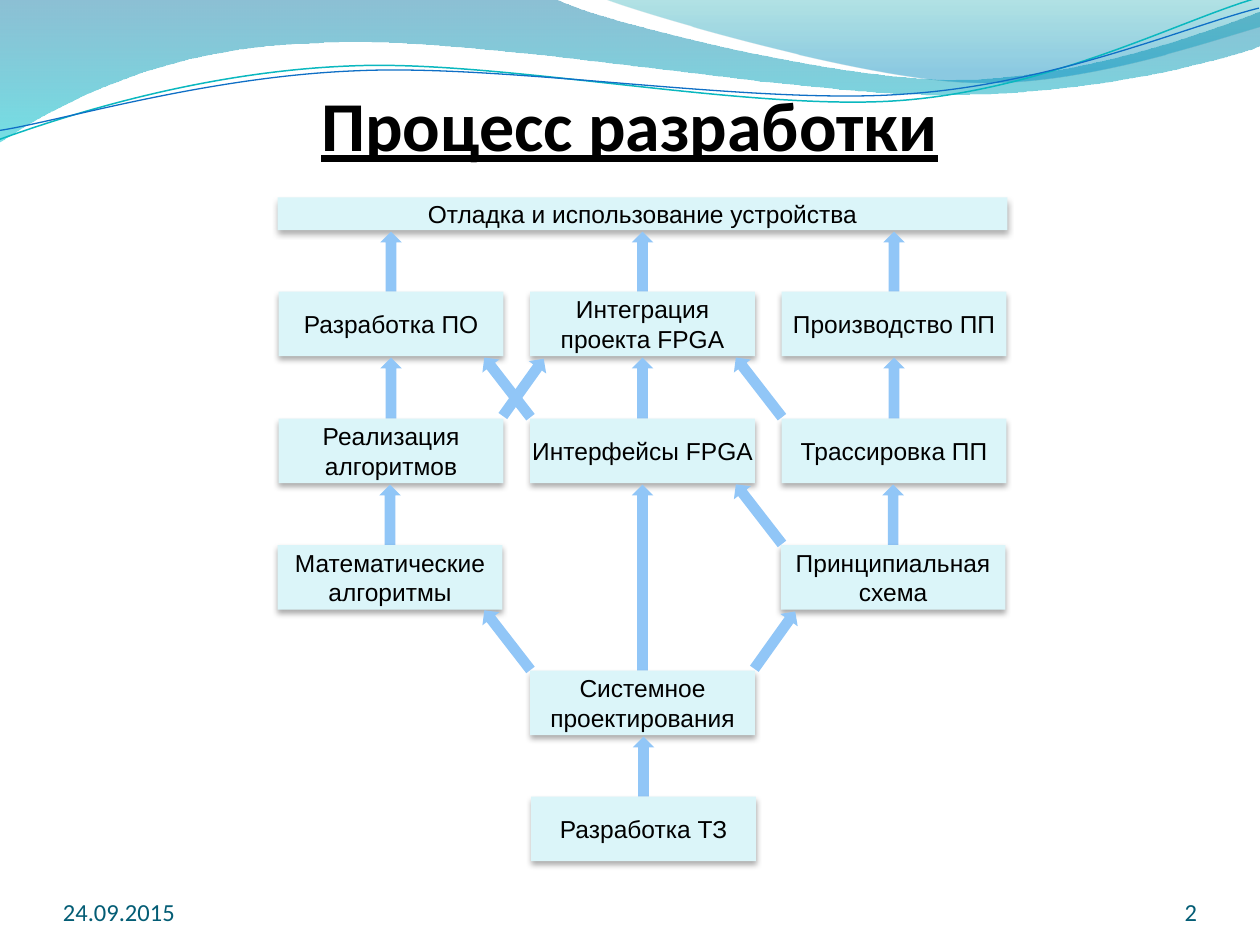
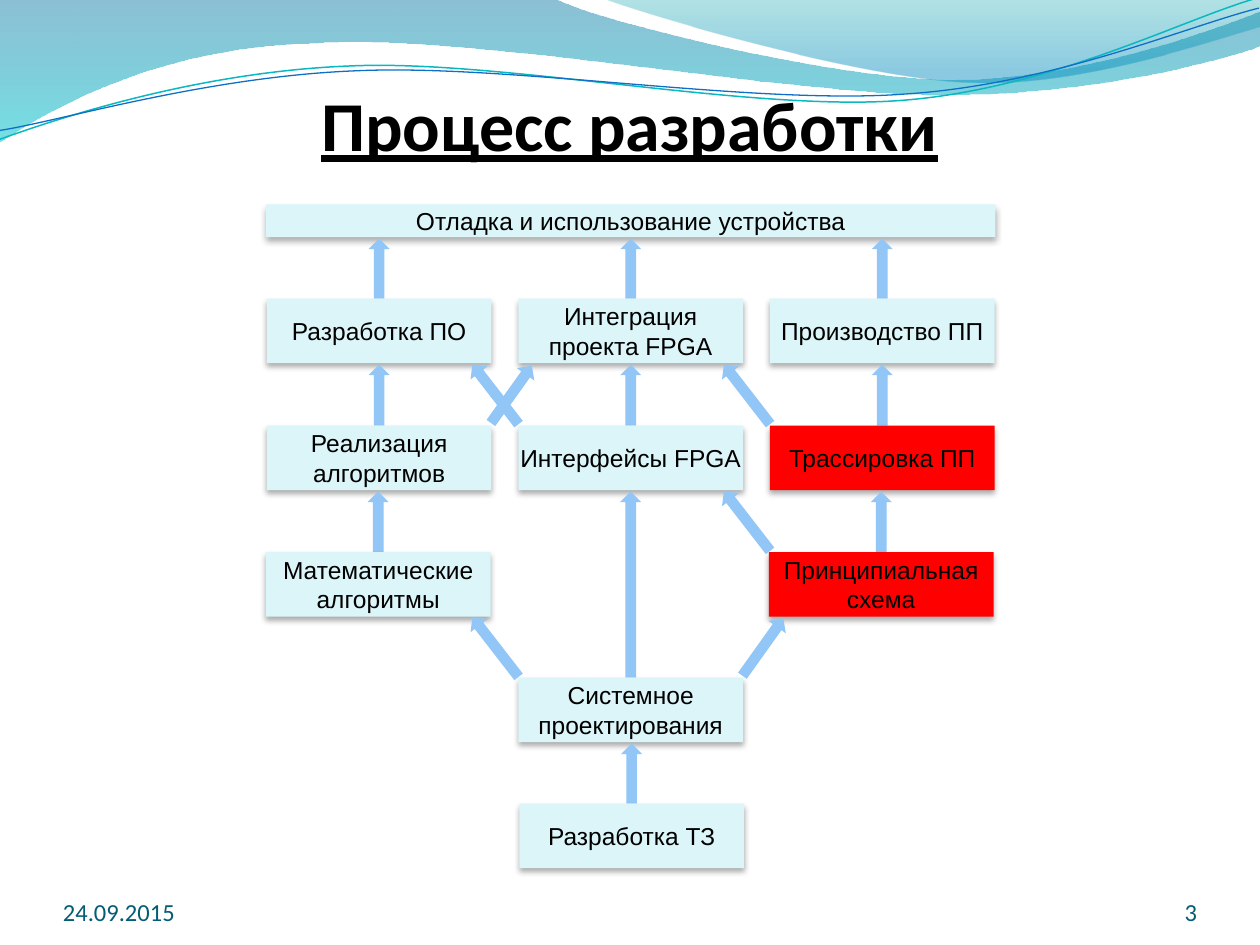
"""Two slides on the stages of device development."""
from lxml import etree
from pptx import Presentation
from pptx import util as u
from pptx.dml import color
from pptx.enum import shapes, text
from pptx.oxml import ns

WIDTH, HEIGHT = u.Cm(25.4), u.Cm(19.05)
BLACK, FOOTER_TEAL = "000000", "045D75"
BOX_FILL, ALERT_FILL, ARROW_FILL = "DBF5F9", "FF0000", "91C6F7"

# Grid of the diagram
BOX_WIDTH, BOX_HEIGHT = u.Cm(4.53), u.Cm(1.3)
COLUMN_STEP = u.Cm(5.07)
BAR_WIDTH, BAR_HEIGHT = u.Cm(14.71), u.Cm(0.66)
ARROW_WIDTH, ARROW_GAP = u.Cm(0.43), u.Cm(0.03)
ROW_TOPS = [u.Cm(top) for top in (1.9, 4.46, 7.01, 9.54, 12.08)]
ROW_SHIFTS = [u.Cm(shift) for shift in (0.02, 0.02, 0, 0.02, 0.04)]

BAR_TEXT = "Отладка и использование устройства"
# Each level: arrows (column, row they start from, row they reach),
# then stages (column, row, wording). Row -1 is the bar.
LEVELS = [
    ([(1, 0, -1), (2, 0, -1), (0, 0, -1)],
     [(0, 0, "Разработка ПО"), (1, 0, "Интеграция проекта FPGA"),
      (2, 0, "Производство ПП")]),
    ([(1, 1, 0), (2, 1, 0), (0, 1, 0)],
     [(0, 1, "Реализация алгоритмов"), (1, 1, "Интерфейсы FPGA"),
      (2, 1, "Трассировка ПП")]),
    ([(1, 3, 1), (2, 2, 1), (0, 2, 1)],
     [(0, 2, "Математические алгоритмы"),
      (1, 3, "Системное проектирования"),
      (2, 2, "Принципиальная схема")]),
    ([(1, 4, 3)], [(1, 4, "Разработка ТЗ")]),
]
BOARD_STAGES = {(2, 1), (2, 2)}
# Slanted arrows: column left of the gap, row above the gap, leans right
SLANTED_ARROWS = [(1, 2, True), (0, 2, False), (0, 0, True),
                  (0, 0, False), (1, 0, False), (1, 1, False)]

# Wave outlines in tenths of the slide width: a start, then straight points
# (one pair) and cubic curves (three pairs).
MAIN_WAVE = [
    (0, 0), [(4.4, -0.01)],
    [(4.76, 0.17), (6.64, 0.63), (7.58, 0.63)],
    [(8.53, 0.63), (9.58, 0.26), (10, 0.09)], [(10.01, 0.36)],
    [(9.83, 0.44), (8.7, 0.76), (7.46, 0.75)],
    [(6.22, 0.75), (3.82, 0.28), (2.57, 0.34)],
    [(1.29, 0.36), (0.46, 0.83), (-0.01, 1.13)], [(0, 0)],
]
RIGHT_WAVE = [
    (4.79, -0.01),
    [(5.09, 0.11), (6.82, 0.62), (7.69, 0.65)],
    [(8.56, 0.69), (9.61, 0.32), (10, 0.21)], [(10, 0)], [(4.79, -0.01)],
]
# The two thin curves are level here and turned when drawn.
CURVE_TURN = 357.3
TEAL_CURVE = [
    (-0.02, 0.87),
    [(0.47, 0.72), (1.58, 0.41), (2.78, 0.42)],
    [(3.96, 0.42), (5.91, 0.93), (7.12, 0.9)],
    [(8.32, 0.87), (9.4, 0.36), (10, 0.22)],
]
BLUE_CURVE = [
    (-0.02, 0.8),
    [(0.46, 0.75), (1.64, 0.45), (2.83, 0.46)],
    [(4.03, 0.46), (5.96, 0.88), (7.16, 0.85)],
    [(8.35, 0.83), (9.42, 0.42), (10.01, 0.3)],
]


def rgb(value):
    """Return the colour for a hex string."""
    return color.RGBColor.from_string(value)


def add_outline(parent, outline, width, closed):
    """Draw an outline of lines and cubic curves scaled to the width."""
    start, *segments = outline
    points = [(round(x * width / 10), round(y * width / 10))
              for x, y in [start] + sum(segments, [])]
    builder = parent.shapes.build_freeform(*points[0])
    builder.add_line_segments(points[1:], close=closed)
    shape = builder.convert_to_shape()
    shape.shadow.inherit = False
    lines = iter(list(shape._element.iter(ns.qn("a:lnTo"))))
    for segment in segments:
        pieces = [next(lines) for _ in segment]
        if len(pieces) == 3:
            curve = etree.Element(ns.qn("a:cubicBezTo"))
            pieces[0].addprevious(curve)
            for piece in pieces:
                curve.append(piece[0])
                piece.getparent().remove(piece)
    return shape


def add_band(slide, outline, width, stops):
    """Draw a wave with a translucent gradient running downwards."""
    shape = add_outline(slide, outline, width, True)
    shape.line.fill.background()
    shape.fill.gradient()
    shape.fill.gradient_angle = 270
    for stop, (position, value, _) in zip(shape.fill.gradient_stops, stops):
        stop.position = position
        stop.color.rgb = rgb(value)
    tints = shape._element.spPr.iter(ns.qn("a:srgbClr"))
    for tint, (_, _, opacity) in zip(tints, stops):
        etree.SubElement(tint, ns.qn("a:alpha"), val=str(opacity * 1000))
    return shape


def add_curve(group, outline, width, value, weight):
    """Draw a thin open curve."""
    shape = add_outline(group, outline, width, False)
    shape.rotation = CURVE_TURN
    shape.fill.background()
    shape.line.color.rgb = rgb(value)
    shape.line.width = u.Pt(weight)


def decorate_master(presentation, slide):
    """Draw the header waves and move them to the master for all slides."""
    bands = [
        add_band(slide, MAIN_WAVE, WIDTH, [(0, "0074A1", 45), (1, "00C6CF", 55)]),
        add_band(slide, RIGHT_WAVE, WIDTH,
                 [(0, "00A1A9", 30), (0.8, "008BBF", 45)]),
    ]
    curves = slide.shapes.add_group_shape()
    add_curve(curves, TEAL_CURVE, WIDTH, "0AB8BF", 0.85)
    add_curve(curves, BLUE_CURVE, WIDTH, "0F6FC6", 0.75)
    tree = presentation.slide_master.shapes._spTree
    for wave in [*bands, curves]:
        tree.append(wave._element)
    for number, label in enumerate(tree.iter(ns.qn("p:cNvPr")), 1):
        label.set("id", str(number))


def write(shape, wording, size, font_name, value, alignment):
    """Put one paragraph in a shape and return it."""
    paragraph = shape.text_frame.paragraphs[0]
    paragraph.text = wording
    paragraph.alignment = alignment
    paragraph.font.size = u.Pt(size)
    paragraph.font.name = font_name
    paragraph.font.color.rgb = rgb(value)
    return paragraph


def clear_margins(frame, anchor):
    """Wrap a text frame without insets."""
    frame.word_wrap = True
    frame.vertical_anchor = anchor
    frame.margin_left = frame.margin_right = 0
    frame.margin_top = frame.margin_bottom = 0


def add_title(slide, left, top, width, height, wording):
    """Add the underlined slide title."""
    box = slide.shapes.add_textbox(left, top, width, height)
    box.text_frame.word_wrap = False
    box.text_frame.auto_size = text.MSO_AUTO_SIZE.SHAPE_TO_FIT_TEXT
    paragraph = write(box, wording, 40, "Calibri", BLACK, text.PP_ALIGN.CENTER)
    paragraph.font.bold = True
    paragraph.font.underline = True


def add_footer(slide, left, top, width, height, date, number):
    """Add the date at the left and the slide number at the right."""
    date_width, number_width = u.Cm(5.93), u.Cm(2.12)
    parts = [
        (left, date_width, date, text.PP_ALIGN.LEFT),
        (left + width - number_width, number_width, number, text.PP_ALIGN.RIGHT),
    ]
    for part_left, part_width, wording, alignment in parts:
        box = slide.shapes.add_textbox(part_left, top, part_width, height)
        clear_margins(box.text_frame, text.MSO_ANCHOR.BOTTOM)
        write(box, wording, 14, "Calibri", FOOTER_TEAL, alignment)


def add_stage(group, left, top, width, height, wording, fill):
    """Add a stage box with a soft shadow below it."""
    shape = group.shapes.add_shape(
        shapes.MSO_SHAPE.RECTANGLE, left, top, width, height)
    shape.fill.solid()
    shape.fill.fore_color.rgb = rgb(fill)
    shape.line.fill.background()
    shape.shadow.inherit = False
    effects = shape._element.spPr.find(ns.qn("a:effectLst"))
    shadow = etree.SubElement(
        effects, ns.qn("a:outerShdw"), blurRad=str(u.Pt(3.5)),
        dist=str(u.Pt(2.2)), dir="5400000", rotWithShape="0")
    tint = etree.SubElement(shadow, ns.qn("a:srgbClr"), val=BLACK)
    etree.SubElement(tint, ns.qn("a:alpha"), val="32000")
    clear_margins(shape.text_frame, text.MSO_ANCHOR.MIDDLE)
    write(shape, wording, 14, "Arial", BLACK, text.PP_ALIGN.CENTER)


def add_arrow(group, center_x, center_y, height, rotation=0):
    """Add a block arrow around its centre."""
    shape = group.shapes.add_shape(
        shapes.MSO_SHAPE.UP_ARROW, round(center_x - ARROW_WIDTH / 2),
        round(center_y - height / 2), ARROW_WIDTH, round(height))
    shape.rotation = rotation
    shape.fill.solid()
    shape.fill.fore_color.rgb = rgb(ARROW_FILL)
    shape.line.fill.background()
    shape.shadow.inherit = False


def add_diagram(slide, left, top, alerts):
    """Add the stages and arrows, with the alert stages in red."""
    group = slide.shapes.add_group_shape()

    def place(column, row):
        return (left + ROW_SHIFTS[row] + column * COLUMN_STEP,
                top + ROW_TOPS[row])

    add_stage(group, left, top, BAR_WIDTH, BAR_HEIGHT, BAR_TEXT, BOX_FILL)
    for arrows, stages in LEVELS:
        for column, start, end in arrows:
            x, bottom = place(column, start)
            reached = top + (BAR_HEIGHT if end < 0 else ROW_TOPS[end] + BOX_HEIGHT)
            tip = reached + ARROW_GAP
            add_arrow(group, x + BOX_WIDTH / 2, (tip + bottom) / 2, bottom - tip)
        for column, row, wording in stages:
            fill = ALERT_FILL if (column, row) in alerts else BOX_FILL
            add_stage(group, *place(column, row), BOX_WIDTH, BOX_HEIGHT,
                      wording, fill)
    for column, row, leans_right in SLANTED_ARROWS:
        x = left + column * COLUMN_STEP + (BOX_WIDTH + COLUMN_STEP) / 2
        y = top + (ROW_TOPS[row] + BOX_HEIGHT + ROW_TOPS[row + 1]) / 2
        if leans_right:
            add_arrow(group, x + u.Cm(0.15), y, u.Cm(1.42), 35.5)
        else:
            add_arrow(group, x - u.Cm(0.17), y, u.Cm(1.52), 322.2)


def add_process_slide(presentation, number, left, top, alerts=()):
    """Add a slide with title, footer and the process diagram."""
    slide = presentation.slides.add_slide(presentation.slide_layouts[6])
    add_title(slide, u.Cm(6.15), u.Cm(1.52), u.Cm(13.08), u.Cm(1.96),
              "Процесс разработки")
    add_footer(slide, u.Cm(1.27), u.Cm(17.65), u.Cm(22.86), u.Cm(1.02),
               "24.09.2015", number)
    add_diagram(slide, left, top, alerts)
    return slide


def main():
    """Build and save the presentation."""
    presentation = Presentation()
    presentation.slide_width, presentation.slide_height = WIDTH, HEIGHT
    first = add_process_slide(presentation, "2", u.Cm(5.6), u.Cm(3.98))
    decorate_master(presentation, first)
    add_process_slide(presentation, "3", u.Cm(5.36), u.Cm(4.12), BOARD_STAGES)
    presentation.save("out.pptx")


main()
